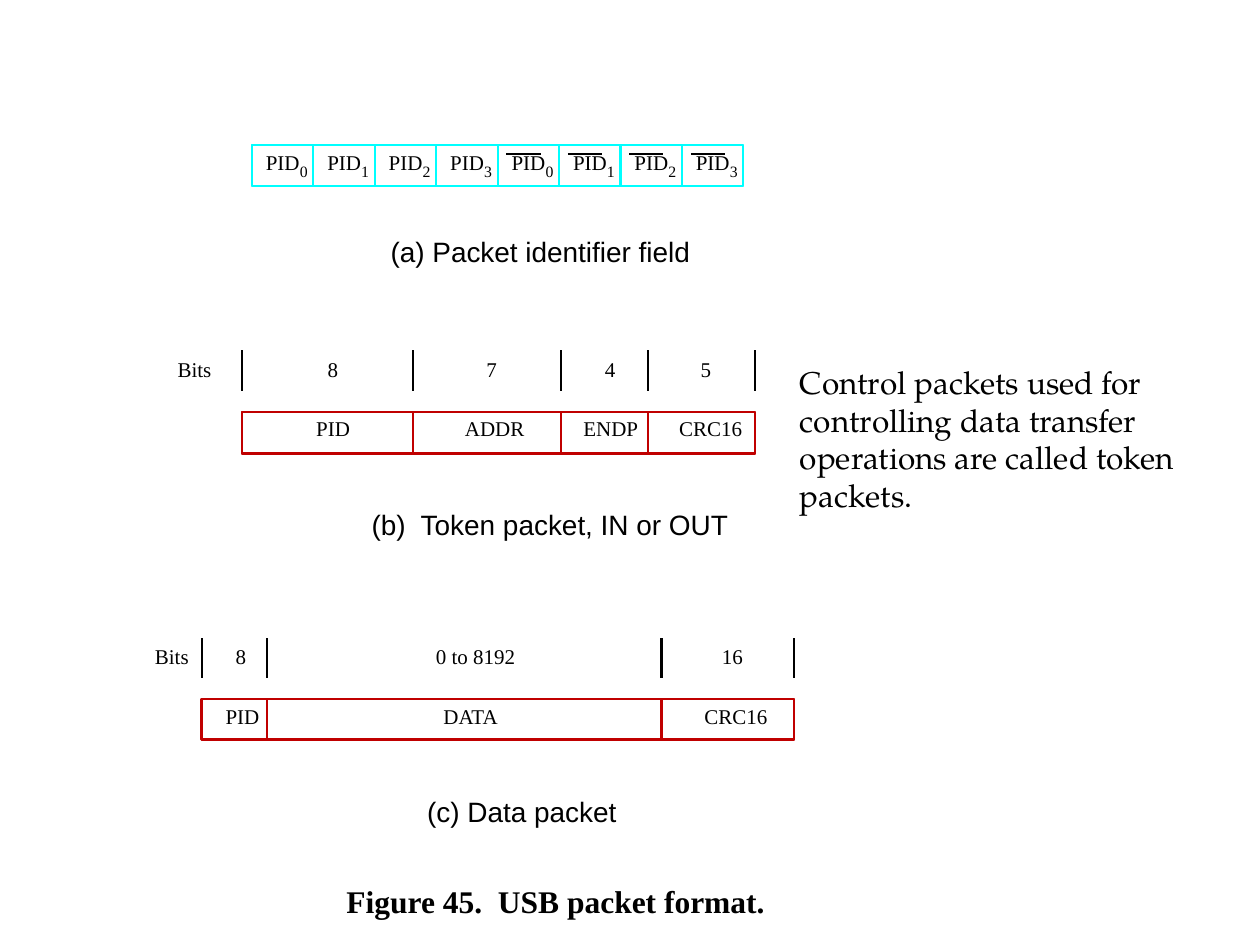
"""Build a slide that shows the formats of USB packets."""
from dataclasses import dataclass

from lxml.etree import SubElement
from pptx import Presentation
from pptx.dml.color import RGBColor
from pptx.enum.shapes import MSO_CONNECTOR, MSO_SHAPE
from pptx.enum.text import MSO_AUTO_SIZE
from pptx.oxml.ns import qn
from pptx.slide import Slide
from pptx.util import Inches, Pt


@dataclass(frozen=True)
class Theme:
    ink: str = "000000"
    cyan: str = "00FFFF"
    red: str = "C00000"
    serif: str = "Times New Roman"
    sans: str = "Arial"
    book: str = "TeX Gyre Pagella"
    index: float = 9
    label: float = 12
    title: float = 16
    large: float = 18
    stroke: float = 1.25


@dataclass(frozen=True)
class Label:
    text: str
    left: float
    width: float


@dataclass(frozen=True)
class Field:
    name: Label
    bits: Label
    left: float


@dataclass(frozen=True)
class Packet:
    fields: tuple[Field, ...]
    right: float
    top: float
    height: float
    bits: Label


THEME = Theme()

TOKEN = Packet(
    (
        Field(Label("PID", 2.51, 0.28), Label("8", 2.6, 0.09), 1.92),
        Field(Label("ADDR", 3.69, 0.5), Label("7", 3.86, 0.09), 3.28),
        Field(Label("ENDP", 4.63, 0.46), Label("4", 4.8, 0.09), 4.45),
        Field(Label("CRC16", 5.39, 0.52), Label("5", 5.56, 0.09), 5.14),
    ),
    5.99, 3.27, 0.33, Label("Bits", 1.41, 0.28),
)
DATA = Packet(
    (
        Field(Label("PID", 1.79, 0.28), Label("8", 1.87, 0.09), 1.6),
        Field(Label("DATA", 3.52, 0.46), Label("0 to 8192", 3.46, 0.65), 2.12),
        Field(Label("CRC16", 5.59, 0.52), Label("16", 5.73, 0.18), 5.25),
    ),
    6.3, 5.55, 0.32, Label("Bits", 1.23, 0.28),
)


def add_text(slide: Slide, label: Label, top: float, height: float = 0.2,
             size: float = THEME.label, font: str = THEME.serif,
             bold: bool = False, wrap: bool = False) -> None:
    box = slide.shapes.add_textbox(Inches(label.left), Inches(top),
                                   Inches(label.width), Inches(height))
    frame = box.text_frame
    frame.word_wrap = wrap
    frame.auto_size = MSO_AUTO_SIZE.SHAPE_TO_FIT_TEXT
    frame.margin_left = frame.margin_right = Inches(0.1 if wrap else 0)
    frame.margin_top = frame.margin_bottom = Inches(0.05 if wrap else 0)
    run = frame.paragraphs[0].add_run()
    run.text = label.text
    run.font.size = Pt(size)
    run.font.name = font
    run.font.bold = bold
    run.font.color.rgb = RGBColor.from_string(THEME.ink)


def add_box(slide: Slide, left: float, top: float, width: float,
            height: float, color: str) -> None:
    box = slide.shapes.add_shape(MSO_SHAPE.RECTANGLE, Inches(left), Inches(top),
                                 Inches(width), Inches(height))
    box.shadow.inherit = False
    box.fill.background()
    box.line.color.rgb = RGBColor.from_string(color)
    box.line.width = Pt(THEME.stroke)


def add_line(slide: Slide, x1: float, y1: float, x2: float, y2: float) -> None:
    line = slide.shapes.add_connector(MSO_CONNECTOR.STRAIGHT, Inches(x1), Inches(y1),
                                      Inches(x2), Inches(y2))
    line.line.color.rgb = RGBColor.from_string(THEME.ink)
    line.line.width = Pt(THEME.stroke)
    SubElement(line._element.spPr, qn("a:effectLst"))


def draw_pids(slide: Slide) -> None:
    left, top, width, height, count = 2, 1.15, 3.9, 0.33, 8
    step = width / count
    add_box(slide, left, top, width, height, THEME.cyan)
    for place in range(count):
        x = left + place * step
        add_box(slide, x, top, step, height, THEME.cyan)
        if place >= count // 2:
            add_line(slide, x + 0.07, 1.22, x + 0.34, 1.22)
        add_text(slide, Label("PID", x + 0.11, 0.28), 1.19)
        add_text(slide, Label(str(place % 4), x + 0.38, 0.07), 1.28, 0.15, THEME.index)


def draw_packet(slide: Slide, packet: Packet) -> None:
    top = packet.top
    edges = [field.left for field in packet.fields] + [packet.right]
    for field, end in zip(packet.fields, edges[1:]):
        add_box(slide, field.left, top, end - field.left, packet.height, THEME.red)
        add_text(slide, field.name, top + 0.03)
        add_text(slide, field.bits, top - 0.44)
    add_box(slide, edges[0], top, packet.right - edges[0], packet.height, THEME.red)
    for edge in edges:
        add_line(slide, edge, top - 0.17, edge, top - 0.49)
    add_text(slide, packet.bits, top - 0.44)


def main() -> None:
    deck = Presentation()
    deck.slide_width, deck.slide_height = Inches(10), Inches(7.5)
    slide = deck.slides.add_slide(deck.slide_layouts[6])
    draw_pids(slide)
    draw_packet(slide, TOKEN)
    draw_packet(slide, DATA)
    for label, top in (
        (Label("(a) Packet identifier field", 3.1, 2.44), 1.86),
        (Label("(b)  Token packet, IN or OUT", 2.95, 2.86), 4.03),
        (Label("(c) Data packet", 3.39, 1.54), 6.31),
    ):
        add_text(slide, label, top, 0.27, THEME.title, THEME.sans)
    add_text(slide, Label("Figure 45.  USB packet format.", 2.75, 3.33), 7, 0.3,
             THEME.large, bold=True)
    note = ("Control packets used for controlling data transfer "
            "operations are called token packets.")
    add_text(slide, Label(note, 6.25, 3.33), 2.83, 1.3, THEME.large, THEME.book, wrap=True)
    deck.save("out.pptx")


if __name__ == "__main__":
    main()
